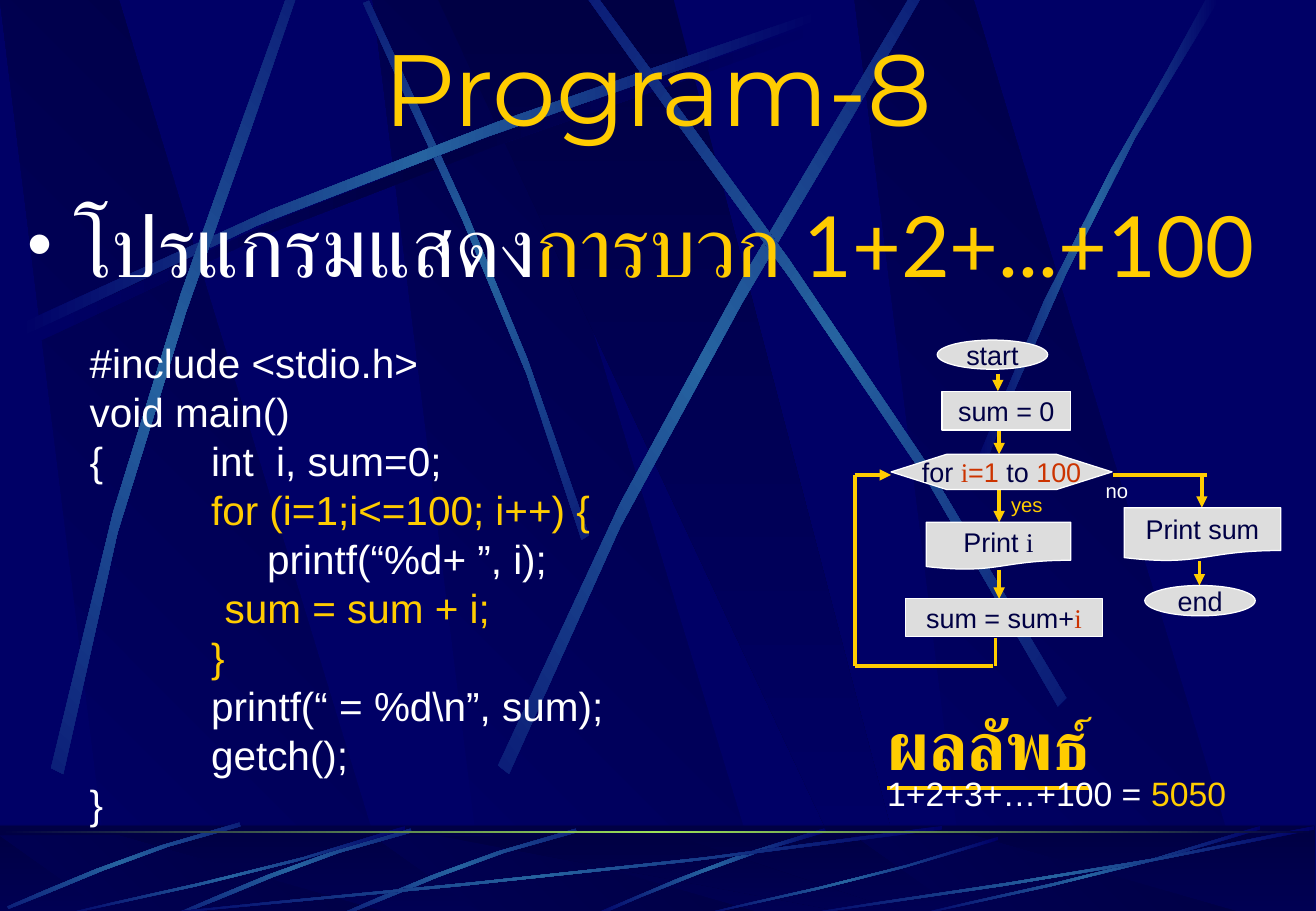
from copy import deepcopy
from math import cos, radians, sin
from pptx import Presentation
from pptx.dml.color import RGBColor
from pptx.enum.dml import MSO_LINE
from pptx.enum.shapes import MSO_CONNECTOR, MSO_SHAPE
from pptx.enum.text import MSO_ANCHOR, MSO_AUTO_SIZE, PP_ALIGN
from pptx.oxml.ns import qn
from pptx.oxml.xmlchemy import OxmlElement
from pptx.util import Inches, Pt

NAVY, NIGHT, BLUE, GOLD = "000066", "000044", "2663A0", "FFCC00"
WHITE, GREY, RED, LIME = "FFFFFF", "DDDDDD", "CC3300", "9CE157"
SERIF = "Times New Roman"


def tone(code):
    return RGBColor.from_string(code)


def write(frame, rows, size, face, look=None, form=None):
    for n, row in enumerate(rows):
        para = frame.paragraphs[0] if n == 0 else frame.add_paragraph()
        values = {**(form or {})}
        if n == 0:
            values["space_before"] = Pt(0)
        for key, value in values.items():
            setattr(para, key, value)
        for text, hue, *other in row:
            run = para.add_run()
            run.text = text
            style = {"size": Pt(size), "name": other[0] if other else face, **(look or {})}
            for key, value in style.items():
                setattr(run.font, key, value)
            run.font.color.rgb = tone(hue)
            if face == "Lato":
                thai = OxmlElement("a:cs")
                thai.set("typeface", face)
                run.font._element.append(thai)


deck = Presentation()
deck.slide_width, deck.slide_height = Inches(10.84), Inches(7.5)
slide = deck.slides.add_slide(deck.slide_layouts[1])
slide.background.fill.solid()
slide.background.fill.fore_color.rgb = tone(NAVY)

glow = [NAVY, BLUE, NAVY]
still = (0, 0, 0)
sweep = [(0.16, 2.67), (3.01, 1.25), (5.61, 0.51), (6.72, 0.1),
         (6.75, 0.16), (5.66, 0.61), (2.69, 1.43), (0.18, 2.77)]
upper = [
    ([(x + 0.06, y + 0.08) for x, y in sweep], still, [NAVY, NIGHT, NAVY], 0),
    ([(4.85, 4.4), (4.21, 2.34), (3.36, 0.73), (3.04, 0),
      (2.99, 0.02), (3.29, 0.76), (4.28, 2.58), (4.79, 4.44)], (45, 3.92, 2.22), glow, 0),
    (sweep, still, glow, 0),
    ([(0.42, 6.32), (1.03, 3.33), (2.02, 1), (2.37, -0.06),
      (2.44, -0.03), (2.13, 1.04), (0.97, 3.68), (0.52, 6.37)], (311.7, 1.44, 3.16), glow, 0),
    ([(4.1, 6.3), (5.4, 3.22), (6.97, 0.91), (7.57, -0.16),
      (7.64, -0.12), (7.08, 0.97), (5.27, 3.59), (4.19, 6.37)], (321.6, 5.88, 3.11), glow, 0),
    ([(8.79, 5.74), (7.25, 2.95), (5.55, 0.86), (4.87, -0.11),
      (4.81, -0.07), (5.45, 0.91), (7.42, 3.28), (8.72, 5.81)], (34.8, 6.8, 2.86), glow, 0),
    ([(7.99, 3.93), (8.82, 1.73), (9.62, 0.66), (9.93, 0),
      (10.04, 0), (9.06, 1.45), (8.33, 3.22), (8.06, 3.97)], still, glow, 0),
]
lower = [
    ([(0, 6.79), (10.83, 0.75)], still, [NIGHT], 0),
    ([(6.79, 6.82), (5.82, 7.09), (5.17, 7.42), (4.86, 7.54),
      (4.9, 7.55), (5.3, 7.37), (6.19, 7), (6.81, 6.85)], still, glow, 0),
]
twig = [(4.74, 6.82), (3.83, 7.05), (3.14, 7.38), (2.83, 7.51),
        (2.84, 7.53), (3.16, 7.42), (3.94, 7.03), (4.75, 6.85)]
for dx, dy in [(0, 0), (1.36, 0), (2.77, 0.05)]:
    lower.append(([(x - dx, y - dy) for x, y in twig], (314.9, 3.79 - dx, 7.18 - dy), glow, 0))
blade = [(1, 0.04), (0.57, 0.57), (0.17, 0.85), (0, 1),
         (0, 0.99), (0.17, 0.81), (0.62, 0.51), (1, 0)]
for left, top, wide in [(1.08, 6.8, 6.68), (0.45, 6.8, 2.89), (5.71, 6.89, 2.51),
                        (7.49, 6.8, 2.89), (6.5, 6.8, 4.33)]:
    lower.append(([(left + wide * x, top + (7.55 - top) * y) for x, y in blade], still, glow, 0))
lower.append(([(0, 6.84), (10.83, 0.02)], still, [NIGHT, LIME, NIGHT], 0))

art = []
floor = [([(0, 6.8), (10.83, 0.75)], still, [NIGHT, NAVY], 90)]
for top, low, under, over in [(0, 7.52, [], upper), (6.88, 7.54, floor, lower)]:
    art += under
    for x in (3.07, 0, 7.04):
        bar = [(x + 0.93, low), (x + 3.27, low), (x + 0.98, top), (x, top)]
        art.append((bar, still, [NAVY, NIGHT], 315))
    art.append(([(7.13, low), (7.52, low), (5.55, top), (3.61, top)], still, [NIGHT, NAVY], 90))
    art += over

group = slide.shapes.add_group_shape()
for spots, (turn, cx, cy), hues, angle in art:
    if len(spots) == 2:
        form = group.shapes.add_shape(MSO_SHAPE.RECTANGLE, *map(Inches, spots[0] + spots[1]))
    else:
        if len(spots) == 8:
            curve = []
            for a, b, c, d in (spots[:4], spots[4:]):
                for t in [k / 4 for k in range(5)]:
                    mix = ((1 - t) ** 3, 3 * t * (1 - t) ** 2, 3 * t * t * (1 - t), t ** 3)
                    curve.append([sum(m * p[n] for m, p in zip(mix, (a, b, c, d))) for n in (0, 1)])
            spots = curve
        co, si = cos(radians(turn)), sin(radians(turn))
        flat = [(Inches(cx + (x - cx) * co + (y - cy) * si),
                 Inches(cy - (x - cx) * si + (y - cy) * co)) for x, y in spots]
        pen = group.shapes.build_freeform(*flat[0], scale=1.0)
        pen.add_line_segments(flat[1:], close=True)
        form = pen.convert_to_shape()
        form.rotation = turn
    form.shadow.inherit = False
    form.line.fill.background()
    if len(hues) == 1:
        form.fill.solid()
        form.fill.fore_color.rgb = tone(hues[0])
        alpha = OxmlElement("a:alpha")
        alpha.set("val", "50000")
        form._element.spPr.find(qn("a:solidFill"))[0].append(alpha)
        continue
    form.fill.gradient()
    form.fill.gradient_angle = (360 - angle) % 360
    stops = form._element.spPr.find(qn("a:gradFill")).find(qn("a:gsLst"))
    if len(hues) == 3:
        stops.append(deepcopy(stops[0]))
    for n, stop in enumerate(form.fill.gradient_stops):
        stop.color.rgb = tone(hues[n])
        stop.position = n / (len(hues) - 1)
slide.shapes._spTree.insert(2, group._element)

title, body = slide.placeholders
for holder, box in [(title, (0, 0.16, 10.83, 1.1)), (body, (0.13, 1.54, 10.54, 0.94))]:
    holder.left, holder.top, holder.width, holder.height = map(Inches, box)
title.text_frame.vertical_anchor = MSO_ANCHOR.MIDDLE
title.text_frame.auto_size = MSO_AUTO_SIZE.SHAPE_TO_FIT_TEXT
write(title.text_frame, [[("Program-8", GOLD)]], 60, "Montserrat", form={"alignment": PP_ALIGN.CENTER})
body.text_frame.auto_size = MSO_AUTO_SIZE.NONE
write(body.text_frame, [[("โปรแกรมแสดง", WHITE), ("การบวก 1+2+...+100", GOLD)]], 50, "Lato")
props = body.text_frame.paragraphs[0]._p.get_or_add_pPr()
props.set("marL", str(Inches(0.38)))
props.set("indent", str(Inches(-0.38)))
for tag, key, value in [("a:buClr", None, None), ("a:buSzPct", "val", "85000"),
                        ("a:buFont", "typeface", "Arial"), ("a:buChar", "char", "•")]:
    part = OxmlElement(tag)
    if key:
        part.set(key, value)
    else:
        hue = OxmlElement("a:srgbClr")
        hue.set("val", WHITE)
        part.append(hue)
    props.append(part)

code = [
    [("\t#include <stdio.h>", WHITE)],
    [("\tvoid main()", WHITE)],
    [("\t{\tint  i, sum=0;", WHITE)],
    [("\t\t", WHITE), ("for (i=1;i<=100; i++) {", GOLD)],
    [("\t\t     printf(“%d+ ”, i);", WHITE)],
    [("                ", WHITE), ("sum = sum + i;", GOLD)],
    [("\t\t", WHITE), ("}", GOLD)],
    [("\t\tprintf(“ = %d\\n”, sum);", WHITE)],
    [("\t\tgetch();", WHITE)],
    [("\t}", WHITE)],
]
bold = {"bold": True, "underline": True}
tight = {"line_spacing": 0.8, "space_before": Pt(6)}
total = [[("1+2+3+…+100 = ", WHITE), ("5050", GOLD)]]
for box, rows, size, face, look, form in [
    ((0.27, 2.81, 6.09, 4.33), code, 24, "Arial", None, tight),
    ((7.21, 5.74, 2.08, 0.77), [[("ผลลัพธ์", GOLD)]], 40, "Lato", bold, None),
    ((7.21, 6.31, 3.63, 0.44), total, 20, "Arial", None, None),
    ((8.23, 4, 0.79, 0.3), [[("yes", GOLD)]], 12, "Arial", None, None),
    ((9.01, 3.89, 0.71, 0.3), [[("no", WHITE)]], 12, "Arial", None, None),
]:
    frame = slide.shapes.add_textbox(*map(Inches, box)).text_frame
    frame.word_wrap = True
    frame.auto_size = MSO_AUTO_SIZE.NONE if rows is code else MSO_AUTO_SIZE.SHAPE_TO_FIT_TEXT
    write(frame, rows, size, face, look, form)
    if rows is code:
        for para in frame.paragraphs:
            props = para._p.get_or_add_pPr()
            for key, value in {"marL": 0.37, "indent": -0.37, "defTabSz": 1}.items():
                props.set(key, str(Inches(value)))
            tabs = OxmlElement("a:tabLst")
            for n in range(8):
                tab = OxmlElement("a:tab")
                tab.set("pos", str(Inches(n)))
                tab.set("algn", "l")
                tabs.append(tab)
            props.append(tabs)

for *ends, arrow in [
    (8.22, 3.08, 8.22, 3.22, True), (8.23, 3.53, 8.23, 3.74, True),
    (8.23, 4.03, 8.23, 4.3, True), (8.23, 4.69, 8.23, 4.93, True),
    (8.2, 5.25, 8.2, 5.48, False), (8.18, 5.48, 7.04, 5.48, False),
    (7.04, 5.48, 7.04, 3.91, False), (7.04, 3.91, 7.34, 3.91, True),
    (9.17, 3.91, 9.94, 3.91, False), (9.9, 3.91, 9.9, 4.18, True),
    (9.88, 4.62, 9.88, 4.82, True),
]:
    wire = slide.shapes.add_connector(MSO_CONNECTOR.STRAIGHT, *map(Inches, ends))
    wire.line.color.rgb = tone(GOLD)
    wire.line.width = Pt(2.25)
    wire.line.dash_style = MSO_LINE.SOLID
    if arrow:
        tip = OxmlElement("a:tailEnd")
        tip.set("type", "triangle")
        wire.line._get_or_add_ln().append(tip)
    wire._element.spPr.append(OxmlElement("a:effectLst"))

loop = [("for ", NIGHT), ("i", RED, SERIF), ("=1 ", RED), ("to ", NIGHT), ("100", RED)]
for kind, box, row in [
    (MSO_SHAPE.OVAL, (7.72, 2.8, 0.91, 0.24), [("start", NIGHT)]),
    (MSO_SHAPE.RECTANGLE, (7.76, 3.22, 1.06, 0.32), [("sum = 0", NIGHT)]),
    (MSO_SHAPE.HEXAGON, (7.34, 3.74, 1.82, 0.29), loop),
    (MSO_SHAPE.FLOWCHART_DOCUMENT, (7.63, 4.3, 1.19, 0.39), [("Print ", NIGHT), ("i", NIGHT, SERIF)]),
    (MSO_SHAPE.RECTANGLE, (7.46, 4.93, 1.62, 0.31), [("sum = sum+", NIGHT), ("i", RED, SERIF)]),
    (MSO_SHAPE.FLOWCHART_DOCUMENT, (9.26, 4.18, 1.29, 0.44), [("Print sum", NIGHT)]),
    (MSO_SHAPE.OVAL, (9.43, 4.82, 0.91, 0.25), [("end", NIGHT)]),
]:
    node = slide.shapes.add_shape(kind, *map(Inches, box))
    if kind == MSO_SHAPE.HEXAGON:
        node.adjustments[0], node.adjustments[1] = 1.57, 1.15
    node.shadow.inherit = False
    node.fill.solid()
    node.fill.fore_color.rgb = tone(GREY)
    node.line.color.rgb = tone(WHITE)
    node.line.width = Pt(0.75)
    node.text_frame.word_wrap = False
    node.text_frame.vertical_anchor = MSO_ANCHOR.MIDDLE
    write(node.text_frame, [row], 16, "Arial", form={"alignment": PP_ALIGN.CENTER})

deck.save("out.pptx")
